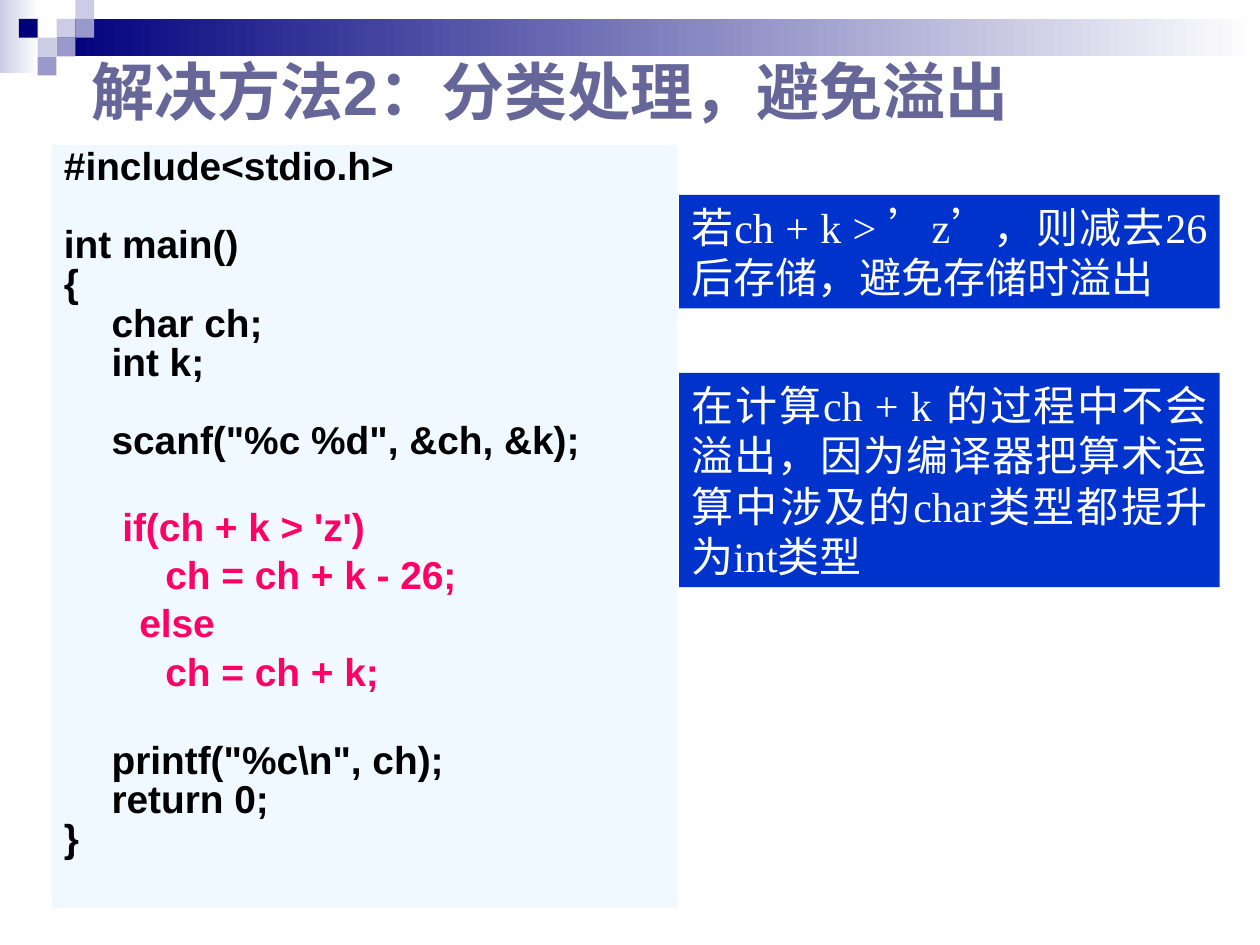
import pptx
import pptx.util
import pptx.dml.color
import pptx.enum.shapes
import pptx.enum.text
import lxml.etree

Cm, Pt = pptx.util.Cm, pptx.util.Pt
ALIGN = pptx.enum.text.PP_ALIGN
HUES = {
    "navy": "00007D", "mid": "9999CC", "pale": "CCCCE6", "white": "FFFFFF",
    "title": "666699", "panel": "EFF9FF", "code": "000000",
    "key": "FF0066", "note": "0033CC",
}
STEP = 0.38  # side of one corner square, in cm
SQUARES = [  # column, row, colour
    (3, 1, "pale"), (4, 0, "pale"), (4, 1, "mid"), (2, 2, "pale"),
    (1, 1, "navy"), (3, 2, "mid"), (2, 3, "mid"),
]
CODE_TOP = """#include<stdio.h>

int main()
{
\tchar ch;
\tint k;

\tscanf("%c %d", &ch, &k);
"""
CODE_KEY = """\t if(ch + k > 'z')
\t     ch = ch + k - 26;
       else
\t     ch = ch + k;
"""
CODE_END = """\tprintf("%c\\n", ch);
\treturn 0;
}"""
NOTES = [  # top, height, text
    (3.93, 2.29, "若ch + k > ’z’，则减去26后存储，避免存储时溢出"),
    (7.52, 4.32, "在计算ch + k 的过程中不会溢出，因为编译器把算术运算中涉及的char类型都提升为int类型"),
]


def rgb(hue):
    return pptx.dml.color.RGBColor.from_string(HUES[hue])


def style(para, face, size, hue, bold=False):
    for run in para.runs:
        font = run.font
        font.name, font.size, font.bold = face, Pt(size), bold
        font.color.rgb = rgb(hue)


def add_rect(slide, x, y, w, h, hue, fade=False):
    kind = pptx.enum.shapes.MSO_SHAPE.RECTANGLE
    rect = slide.shapes.add_shape(kind, Cm(x), Cm(y), Cm(w), Cm(h))
    rect.shadow.inherit = False
    rect.line.fill.background()
    if fade:
        rect.fill.gradient()
        rect.fill.gradient_angle = 0
        for stop, name in zip(rect.fill.gradient_stops, (hue, "white")):
            stop.color.rgb = rgb(name)
    else:
        rect.fill.solid()
        rect.fill.fore_color.rgb = rgb(hue)
    return rect


def add_box(slide, x, y, w, h, hue):
    box = slide.shapes.add_textbox(Cm(x), Cm(y), Cm(w), Cm(h))
    box.fill.solid()
    box.fill.fore_color.rgb = rgb(hue)
    box.text_frame.word_wrap = True
    return box.text_frame


def add_title(slide, text):
    title = slide.shapes.title
    title.left, title.top = Cm(1.6), Cm(0.74)
    title.width, title.height = Cm(23.7), Cm(2.18)
    frame = title.text_frame
    frame.text = text
    frame.auto_size = pptx.enum.text.MSO_AUTO_SIZE.NONE
    frame.vertical_anchor = pptx.enum.text.MSO_ANCHOR.MIDDLE
    para = frame.paragraphs[0]
    para.alignment = ALIGN.LEFT
    style(para, "Arial", 36, "title", True)
    # Bring the title in front of the header band
    title.element.getparent().append(title.element)


def add_code(slide):
    frame = add_box(slide, 1.04, 2.92, 12.62, 15.39, "panel")
    parts = [(CODE_TOP, "code", 0.8), (CODE_KEY, "key", 1.0),
             (CODE_END, "code", 0.8)]
    lines = [(line, hue, lead) for text, hue, lead in parts
             for line in text.split("\n")]
    for i, (line, hue, lead) in enumerate(lines):
        para = frame.add_paragraph() if i else frame.paragraphs[0]
        para.text = line
        para.line_spacing = lead
        if i:
            para.space_before = Pt(1)
        # Hanging indent: a leading tab jumps to the left margin
        props = para._p.get_or_add_pPr()
        props.set("marL", str(Cm(0.96)))
        props.set("indent", str(-Cm(0.96)))
        style(para, "Arial", 22.2, hue, True)
        if not line:  # an empty code line keeps the size of the code
            end = lxml.etree.SubElement(
                para._p, pptx.oxml.ns.qn("a:endParaRPr"))
            end.set("sz", "2220")


def add_note(slide, y, h, text):
    frame = add_box(slide, 13.69, y, 10.9, h, "note")
    frame.text = text
    para = frame.paragraphs[0]
    para.alignment = ALIGN.JUSTIFY
    style(para, "Times New Roman", 24, "white")


def main():
    deck = pptx.Presentation()
    deck.slide_width, deck.slide_height = Cm(25.4), Cm(19.05)
    slide = deck.slides.add_slide(deck.slide_layouts[5])

    # Header band with its corner squares
    add_rect(slide, 0, 0, 0.79, 1.47, "pale", fade=True)
    add_rect(slide, 3 * STEP, STEP, 25.4 - 3 * STEP, 2 * STEP, "navy", fade=True)
    for col, row, hue in SQUARES:
        add_rect(slide, col * STEP, row * STEP, STEP, STEP, hue)

    # Code, title and remarks
    add_code(slide)
    add_title(slide, "解决方法2：分类处理，避免溢出")
    for y, h, text in NOTES:
        add_note(slide, y, h, text)

    deck.save("out.pptx")


if __name__ == "__main__":
    main()
